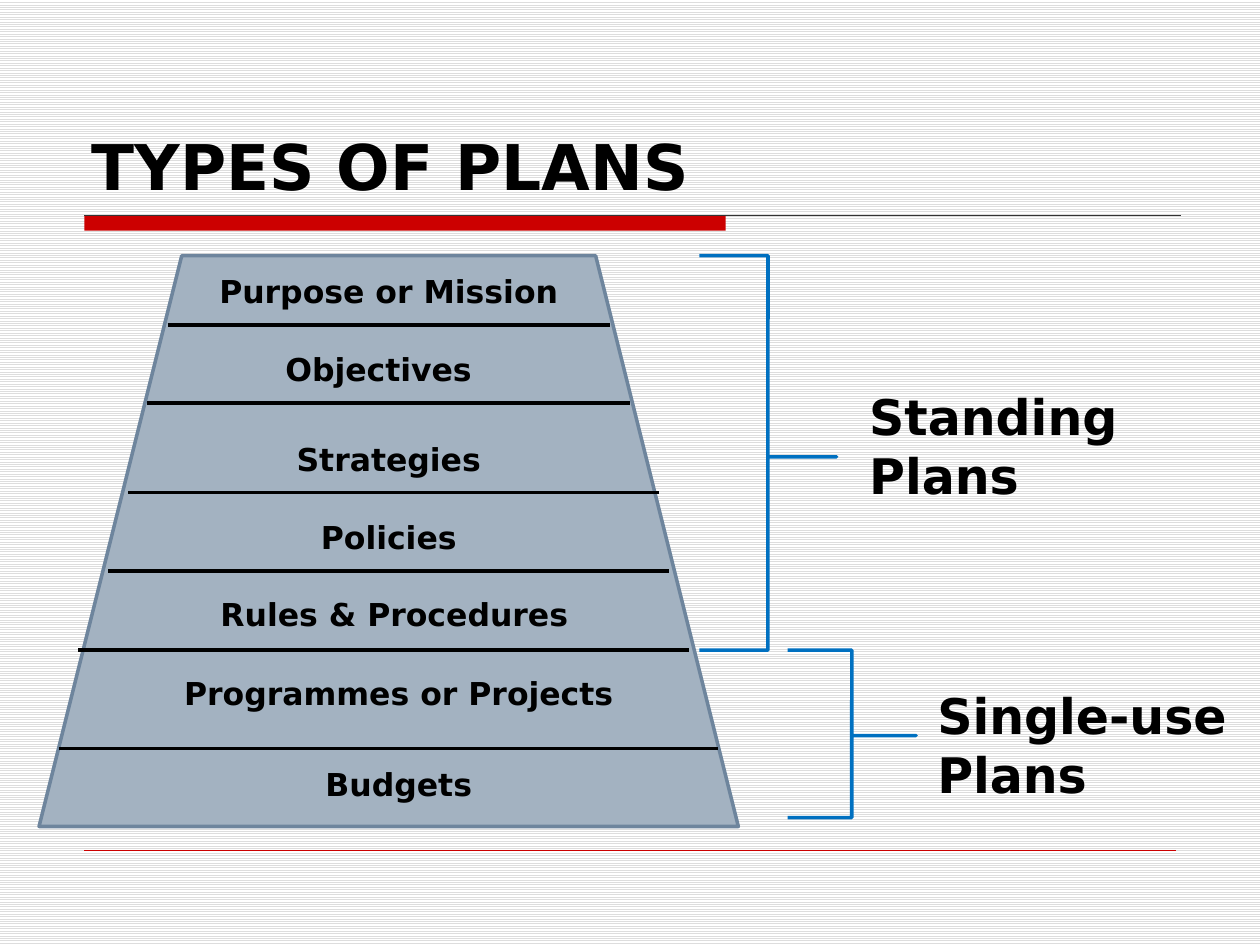
from lxml import etree
from pptx import Presentation, util as u
from pptx.dml.color import RGBColor
from pptx.enum import dml, shapes, text
from pptx.oxml.ns import qn

COLORS = {"ink": "000000", "red": "CC0000", "layer": "A3B2C1", "edge": "6E859D",
          "bracket": "0070C0", "paper": "FFFFFF", "stripe": "DDDDDD", "hairline": "333333"}
FONT = "DejaVu Sans"
COLUMNS, ROWS = 100, 75

LEVELS = [
    ("Purpose or Mission", 16.4, 21.1, 28.9),
    ("Objectives", 15.6, 27.3, 28.9),
    ("Strategies", 16.4, 34.4, 28.9),
    ("Policies", 16.4, 40.6, 28.9),
    ("Rules & Procedures", 14.1, 46.7, 34.4),
    ("Programmes or Projects", 13.3, 53, 36.7),
    ("Budgets", 13.3, 60.2, 36.7),
]
DIVIDERS = [(13.3, 48.4, 25.8), (11.7, 50, 32), (10.2, 52.3, 39.1),
            (8.6, 53.1, 45.3), (6.2, 54.7, 51.6), (4.7, 57, 59.4)]
PLAN_GROUPS = [
    ("Standing Plans", (55.5, 20.3, 10.9, 31.3), (68, 30.2, 30.5, 10.4)),
    ("Single-use Plans", (62.5, 51.6, 10.2, 13.3), (73.4, 53.9, 30.5, 10.4)),
]


class PlanSlide:
    def __init__(self, deck):
        self.column = deck.slide_width / COLUMNS
        self.row = deck.slide_height / ROWS
        self.slide = deck.slides.add_slide(deck.slide_layouts[5])
        backdrop = self.slide.background.fill
        backdrop.patterned()
        backdrop.pattern = dml.MSO_PATTERN.LIGHT_HORIZONTAL
        backdrop.fore_color.rgb = self.color("stripe")
        backdrop.back_color.rgb = self.color("paper")

    def color(self, name):
        return RGBColor.from_string(COLORS[name])

    def place(self, left, top, width, height):
        return (u.Emu(round(left * self.column)), u.Emu(round(top * self.row)),
                u.Emu(round(width * self.column)), u.Emu(round(height * self.row)))

    def set_words(self, frame, wording, size, align):
        frame.text = wording
        frame.word_wrap = True
        for paragraph in frame.paragraphs:
            paragraph.alignment = align
            for run in paragraph.runs:
                run.font.name = FONT
                run.font.size = u.Pt(size)
                run.font.bold = True
                run.font.color.rgb = self.color("ink")

    def title(self, wording, *area):
        heading = self.slide.shapes.title
        heading.left, heading.top, heading.width, heading.height = self.place(*area)
        self.set_words(heading.text_frame, wording, 36, text.PP_ALIGN.LEFT)
        heading.text_frame.auto_size = text.MSO_AUTO_SIZE.NONE
        heading.text_frame.vertical_anchor = text.MSO_ANCHOR.BOTTOM

    def label(self, wording, area, size, align):
        caption = self.slide.shapes.add_textbox(*self.place(*area))
        self.set_words(caption.text_frame, wording, size, align)
        caption.text_frame.auto_size = text.MSO_AUTO_SIZE.SHAPE_TO_FIT_TEXT

    def shape(self, kind, area, fill=None, line=None, adjustments=()):
        figure = self.slide.shapes.add_shape(kind, *self.place(*area))
        figure.shadow.inherit = False
        for index, value in enumerate(adjustments):
            figure.adjustments[index] = value
        if fill:
            figure.fill.solid()
            figure.fill.fore_color.rgb = self.color(fill)
        else:
            figure.fill.background()
        if line:
            figure.line.color.rgb = self.color(line)
            figure.line.width = u.Pt(2)
        else:
            figure.line.fill.background()

    def rule(self, start, end, row, color, weight):
        x1, y, x2, _ = self.place(start, row, end, 0)
        stroke = self.slide.shapes.add_connector(shapes.MSO_CONNECTOR.STRAIGHT, x1, y, x2, y)
        stroke.line.color.rgb = self.color(color)
        stroke.line.width = u.Pt(weight)
        etree.SubElement(stroke._element.spPr, qn("a:effectLst"))


def main():
    deck = Presentation()
    deck.slide_width, deck.slide_height = u.Inches(10), u.Inches(7.5)
    plans = PlanSlide(deck)
    preset = shapes.MSO_SHAPE

    plans.shape(preset.RECTANGLE, (6.7, 17.1, 50.9, 1.2), fill="red")
    plans.rule(6.7, 93.7, 17.1, "hairline", 0.75)
    plans.rule(6.7, 93.3, 67.5, "red", 0.25)
    plans.title("TYPES OF PLANS", 6.3, 3.3, 87.5, 13.3)

    plans.shape(preset.TRAPEZOID, (3.1, 20.3, 55.5, 45.3), "layer", "edge")
    for level, left, top, width in LEVELS:
        plans.label(level, (left, top, width, 4), 18, text.PP_ALIGN.CENTER)
    for start, end, row in DIVIDERS:
        plans.rule(start, end, row, "ink", 2)
    for group, bracket, caption in PLAN_GROUPS:
        plans.shape(preset.RIGHT_BRACE, bracket, line="bracket", adjustments=(0, 0.51))
        plans.label(group, caption, 28, text.PP_ALIGN.LEFT)

    deck.save("out.pptx")


if __name__ == "__main__":
    main()
